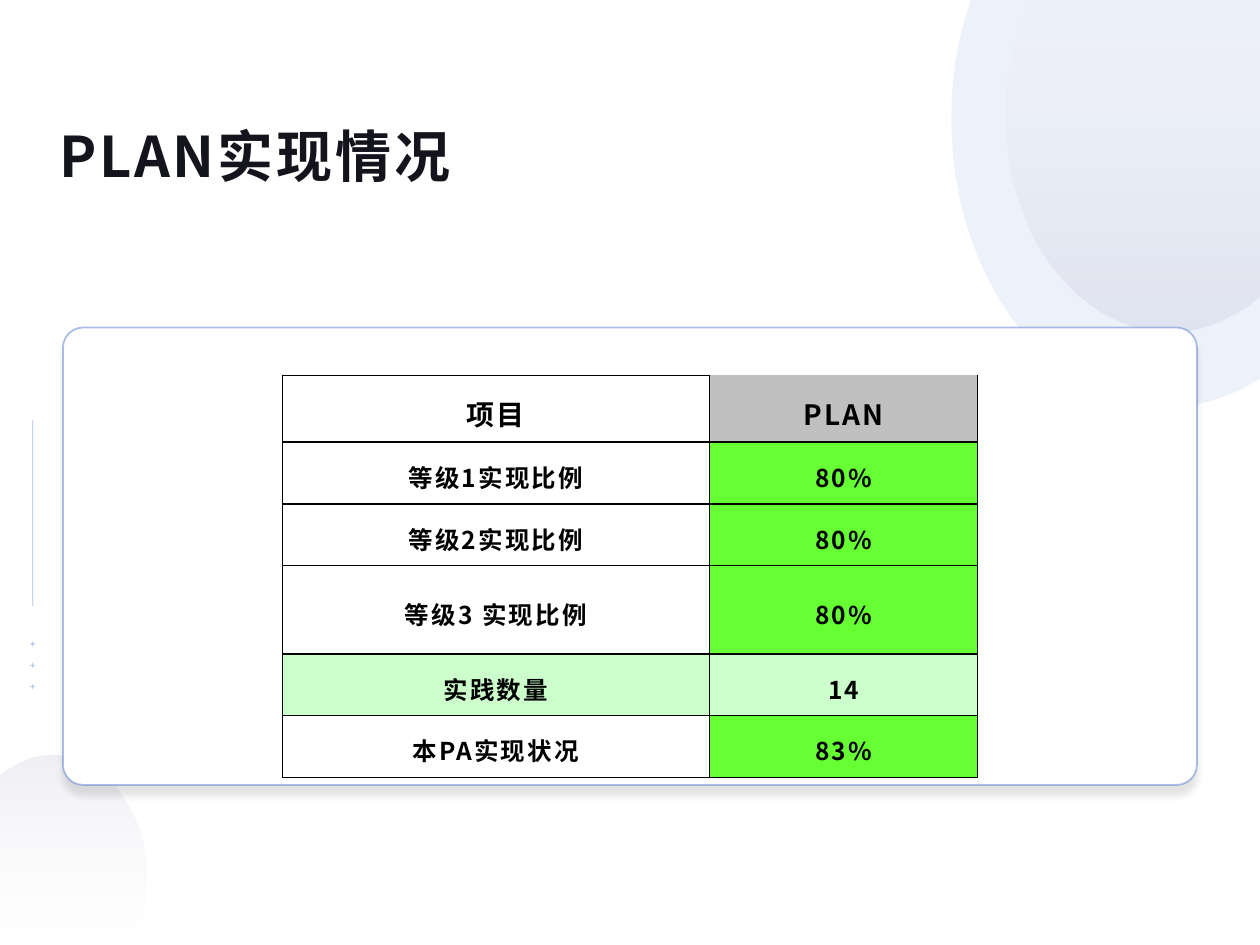
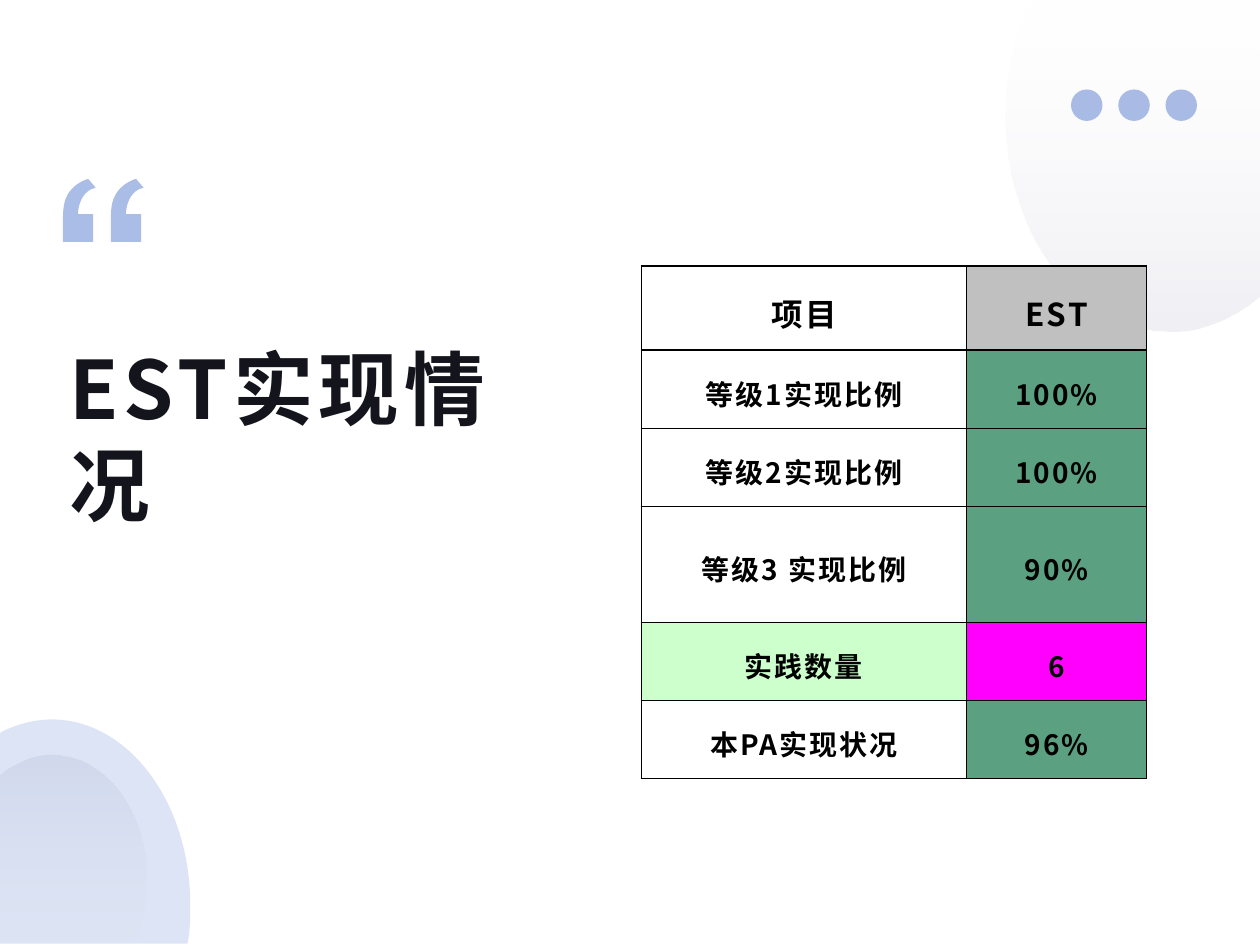
from lxml import etree
from pptx import Presentation
from pptx.dml.color import RGBColor
from pptx.enum.shapes import MSO_CONNECTOR, MSO_SHAPE
from pptx.enum.text import MSO_ANCHOR, PP_ALIGN
from pptx.oxml.ns import qn
from pptx.util import Inches, Pt

WHITE = RGBColor(0xFF, 0xFF, 0xFF)
BLACK = RGBColor(0x00, 0x00, 0x00)
INK = RGBColor(0x14, 0x14, 0x1D)
BLUE = RGBColor(0x57, 0x7C, 0xCE)
MIST = RGBColor(0xBE, 0xBE, 0xD2)
GREY = RGBColor(0xC0, 0xC0, 0xC0)
LIME = RGBColor(0x66, 0xFF, 0x33)
MINT = RGBColor(0xCC, 0xFF, 0xCC)
SAGE = RGBColor(0x5B, 0xA0, 0x80)
MAGENTA = RGBColor(0xFF, 0x00, 0xFF)

FONT = "Noto Sans CJK SC"
SLIDE_W, SLIDE_H = 10, 7.5
ROW_LABELS = ["项目", "等级1实现比例", "等级2实现比例", "等级3 实现比例",
              "实践数量", "本PA实现状况"]
LABEL_FILLS = [WHITE, WHITE, WHITE, WHITE, MINT, WHITE]

TOP_BLOB = [(8.19, 0), (10, 0), (10, 2.34), (9.9, 2.42),
            (9.71, 2.55, 9.5, 2.63, 9.28, 2.63),
            (8.56, 2.63, 7.98, 1.87, 7.98, 0.92),
            (7.98, 0.63, 8.04, 0.35, 8.14, 0.11)]
BOTTOM_BLOB = [(1.04, 7.5), (0, 7.5), (0, 6.16), (0.06, 6.11),
               (0.16, 6.04, 0.29, 5.99, 0.41, 5.99),
               (0.83, 5.99, 1.16, 6.43, 1.16, 6.97),
               (1.16, 7.14, 1.13, 7.3, 1.07, 7.44)]
TOP_HALO = [(7.7, 0), (10, 0), (10, 3.01), (9.99, 3.01),
            (9.77, 3.15, 9.53, 3.23, 9.27, 3.23),
            (8.32, 3.23, 7.55, 2.2, 7.55, 0.94),
            (7.55, 0.61, 7.6, 0.3, 7.7, 0.03)]
BOTTOM_HALO = [(0.41, 5.71), (1.02, 5.71, 1.51, 6.37, 1.51, 7.18),
               (1.51, 7.28, 1.51, 7.38, 1.49, 7.48), (1.49, 7.49),
               (0, 7.49), (0, 5.82), (0.01, 5.81),
               (0.13, 5.75, 0.27, 5.71, 0.41, 5.71)]
COMMA = [(0.24, 0.28), (0.24, 0.5), (0, 0.5), (0, 0.32),
         (0, 0.23, 0.01, 0.17, 0.04, 0.12), (0.07, 0.07, 0.13, 0.02, 0.2, 0),
         (0.26, 0.07), (0.21, 0.08, 0.18, 0.11, 0.16, 0.14),
         (0.14, 0.17, 0.12, 0.22, 0.12, 0.28)]


def sub(parent, tag, **attrs):
    return etree.SubElement(parent, qn(tag), {k: str(v) for k, v in attrs.items()})


def set_alpha(element, *percents):
    for clr, percent in zip(element.iter(qn("a:srgbClr")), percents):
        sub(clr, "a:alpha", val=percent * 1000)


def paint(sp, color, percent=100):
    sp.shadow.inherit = False
    sp.fill.solid()
    sp.fill.fore_color.rgb = color
    if percent < 100:
        set_alpha(sp._element.spPr, percent)
    sp.line.fill.background()


def add_run(p, text, size, color, spacing):
    r = p.add_run()
    r.text = text
    r.font.size = Pt(size)
    r.font.bold = True
    r.font.color.rgb = color
    r.font.name = FONT
    rPr = r._r.get_or_add_rPr()
    rPr.set("spc", str(round(spacing * 100)))
    sub(rPr, "a:ea", typeface=FONT)


def add_title(s, box, text, size, spacing):
    tf = s.shapes.add_textbox(*map(Inches, box)).text_frame
    tf.word_wrap = True
    tf.vertical_anchor = MSO_ANCHOR.MIDDLE
    tf.margin_left = tf.margin_right = Inches(0.05)
    tf.margin_top = tf.margin_bottom = Inches(0.02)
    add_run(tf.paragraphs[0], text, size, INK, spacing)


def add_outline(s, *contours):
    contours = [[[Inches(v) for v in seg] for seg in c] for c in contours]
    builder = s.shapes.build_freeform(*contours[0][0], scale=1.0)
    for i, contour in enumerate(contours):
        if i:
            builder.move_to(*contour[0])
        builder.add_line_segments([seg[-2:] for seg in contour[1:]], close=True)
    sp = builder.convert_to_shape()
    segments = [seg for contour in contours for seg in contour[1:]]
    lines = list(sp._element.spPr.iter(qn("a:lnTo")))
    for line, seg in zip(lines, segments):
        if len(seg) == 6:
            line.tag = qn("a:cubicBezTo")
            for i in (0, 2):
                pt = etree.Element(qn("a:pt"), x=str(seg[i] - sp.left),
                                   y=str(seg[i + 1] - sp.top))
                line.insert(i // 2, pt)
    return sp


def add_corner_blobs(s):
    for outline, angle in [(TOP_BLOB, 270), (BOTTOM_BLOB, 90)]:
        sp = add_outline(s, outline)
        paint(sp, WHITE)
        sp.fill.gradient()
        sp.fill.gradient_angle = angle
        for stop, color, position in zip(sp.fill.gradient_stops, (WHITE, MIST), (0, 1)):
            stop.color.rgb = color
            stop.position = position
        set_alpha(sp._element.spPr, 10, 24)


def add_rule(group, x1, y1, x2, y2):
    cn = group.shapes.add_connector(
        MSO_CONNECTOR.STRAIGHT, *map(Inches, (x1, y1, x2, y2)))
    cn.line.color.rgb = BLUE
    cn.line.width = Pt(0.5)
    set_alpha(cn._element.spPr, 50)
    sub(cn._element.spPr, "a:effectLst")


def add_side_marks(s, x, top):
    group = s.shapes.add_group_shape()
    add_rule(group, x, top, x, top + 1.48)
    arm = 0.02
    for i in reversed(range(3)):
        y = top + 1.78 + 0.17 * i
        add_rule(group, x, y + arm, x, y - arm)
        add_rule(group, x - arm, y, x + arm, y)


def add_card(s, box):
    sp = s.shapes.add_shape(MSO_SHAPE.ROUNDED_RECTANGLE, *map(Inches, box))
    sp.adjustments[0] = 0.044
    paint(sp, WHITE)
    sp.line.color.rgb = BLUE
    sp.line.width = Pt(1)
    spPr = sp._element.spPr
    set_alpha(spPr.find(qn("a:ln")), 50)
    shadow = sub(spPr.find(qn("a:effectLst")), "a:outerShdw", blurRad=Pt(4),
                 dist=Pt(6), dir=90 * 60000, algn="t", rotWithShape=0)
    sub(shadow, "a:srgbClr", val=BLACK)
    set_alpha(shadow, 11)


def add_dots(s, left, top, width, size):
    pitch = (width - size) / 2
    for i in range(3):
        sp = s.shapes.add_shape(MSO_SHAPE.OVAL, Inches(left + pitch * i),
                                Inches(top), Inches(size), Inches(size))
        paint(sp, BLUE, 50)


def add_quote_mark(s, left, top):
    contours = []
    for x in (left, left + 0.38):
        contours.append([[v + (top if i % 2 else x) for i, v in enumerate(seg)]
                         for seg in COMMA])
    paint(add_outline(s, *contours), BLUE, 50)


def set_borders(cell, open_sides=""):
    tcPr = cell._tc.get_or_add_tcPr()
    for side in "LRTB":
        ln = sub(tcPr, f"a:ln{side}", w=Pt(1))
        if side in open_sides:
            sub(ln, "a:noFill")
        else:
            sub(sub(ln, "a:solidFill"), "a:srgbClr", val=BLACK)


def add_results(s, left, top, col_widths, row_heights, values, value_fills,
                head_style, body_style, margin, head_open=""):
    frame = s.shapes.add_table(
        len(ROW_LABELS), 2, Inches(left), Inches(top),
        Inches(sum(col_widths)), Inches(sum(row_heights)))
    table = frame.table
    for column, width in zip(table.columns, col_widths):
        column.width = Inches(width)
    for row, height in zip(table.rows, row_heights):
        row.height = Inches(height)
    for c, (texts, fills) in enumerate([(ROW_LABELS, LABEL_FILLS),
                                        (values, value_fills)]):
        for r, (text, fill) in enumerate(zip(texts, fills)):
            cell = table.cell(r, c)
            set_borders(cell, head_open if (r, c) == (0, 1) else "")
            cell.fill.solid()
            cell.fill.fore_color.rgb = fill
            cell.vertical_anchor = MSO_ANCHOR.MIDDLE
            cell.margin_left = cell.margin_right = Inches(0.19)
            cell.margin_top = cell.margin_bottom = Inches(margin)
            p = cell.text_frame.paragraphs[0]
            p.alignment = PP_ALIGN.CENTER
            p.line_spacing = 1.2
            size, spacing = body_style if r else head_style
            add_run(p, text, size, BLACK, spacing)


def new_slide(prs):
    s = prs.slides.add_slide(prs.slide_layouts[6])
    add_corner_blobs(s)
    return s


def build_plan_slide(prs):
    s = new_slide(prs)
    paint(add_outline(s, TOP_HALO), BLUE, 10)
    add_side_marks(s, 0.26, 3.33)
    add_card(s, (0.5, 2.6, 9, 3.63))
    add_title(s, (0.42, 0.92, 7.13, 0.62), "PLAN实现情况", 32, 1.6)
    add_results(s, 2.24, 2.98, (3.39, 2.13), (0.53, 0.49, 0.49, 0.7, 0.49, 0.49),
                ["PLAN", "80%", "80%", "80%", "14", "83%"],
                [GREY, LIME, LIME, LIME, MINT, LIME],
                (16, 1.2), (14, 1.2), 0.07, head_open="T")


def build_est_slide(prs):
    s = new_slide(prs)
    add_dots(s, 8.5, 0.71, 1, 0.25)
    paint(add_outline(s, BOTTOM_HALO), BLUE, 20)
    add_quote_mark(s, 0.5, 1.42)
    add_title(s, (0.5, 2.62, 3.69, 1.67), "EST实现情况", 46, 3)
    add_results(s, 5.09, 2.11, (2.58, 1.43), (0.67, 0.62, 0.62, 0.92, 0.62, 0.62),
                ["EST", "100%", "100%", "90%", "6", "96%"],
                [GREY, SAGE, SAGE, SAGE, MAGENTA, SAGE],
                (18, 1.3), (16, 1.2), 0.12)


def main():
    prs = Presentation()
    prs.slide_width = Inches(SLIDE_W)
    prs.slide_height = Inches(SLIDE_H)
    build_plan_slide(prs)
    build_est_slide(prs)
    prs.save("out.pptx")


if __name__ == "__main__":
    main()
